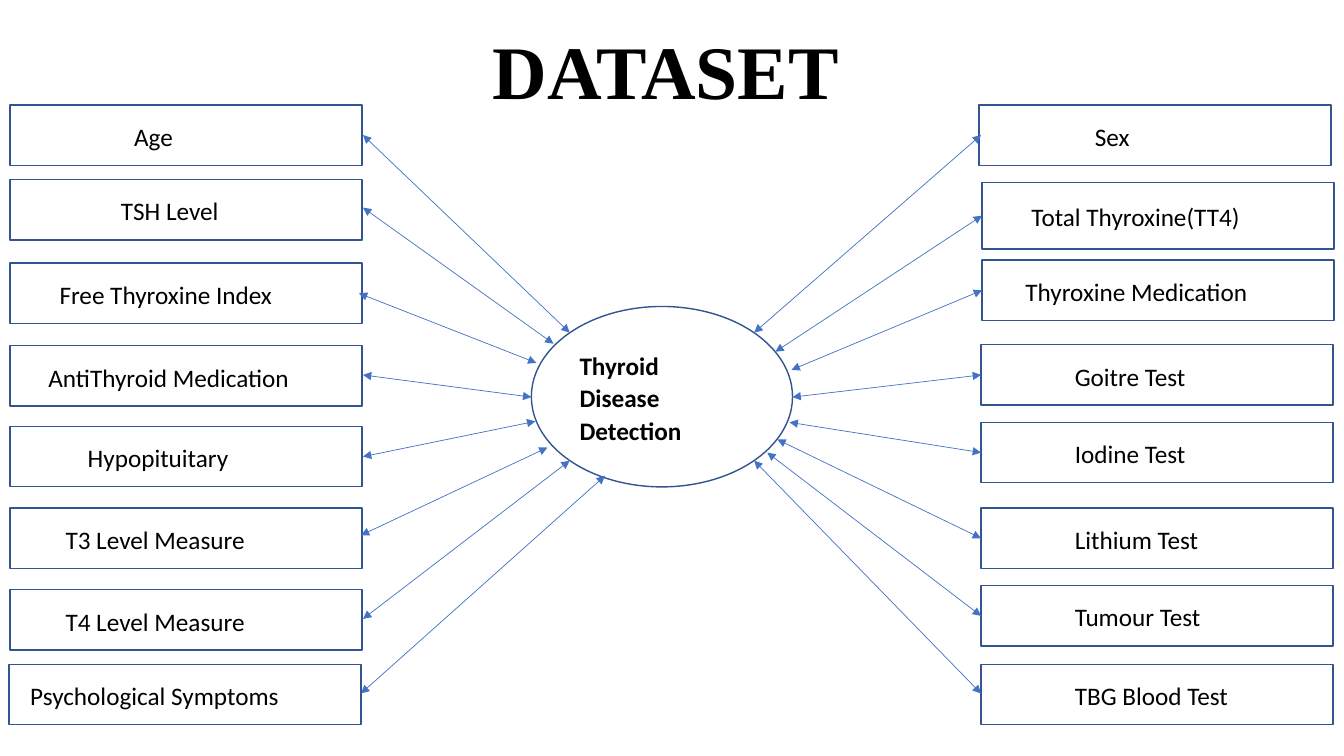
from dataclasses import dataclass

from lxml.etree import SubElement
from pptx import Presentation
from pptx.dml.color import RGBColor
from pptx.enum.shapes import MSO_CONNECTOR, MSO_SHAPE
from pptx.enum.text import MSO_ANCHOR
from pptx.oxml.ns import qn
from pptx.shapes.autoshape import Shape
from pptx.slide import Slide
from pptx.text.text import TextFrame
from pptx.util import Inches, Pt


@dataclass(frozen=True)
class Theme:
    paper: RGBColor = RGBColor(0xFF, 0xFF, 0xFF)
    ink: RGBColor = RGBColor(0, 0, 0)
    outline: RGBColor = RGBColor(0x32, 0x54, 0x91)
    arrow: RGBColor = RGBColor(0x44, 0x72, 0xC4)
    title_font: str = "Times New Roman"
    body_font: str = "Calibri"
    title_size: int = 54
    body_size: int = 18
    outline_width: float = 1
    arrow_width: float = 0.5


@dataclass(frozen=True)
class Feature:
    """A dataset column: its box, where its text starts, and its arrow ends."""
    label: str
    left: float
    top: float
    text_left: float
    box_end: tuple[float, float]
    hub_end: tuple[float, float]
    height: float = 0.6


THEME = Theme()
FEATURE_WIDTH = 3.49
DEFAULT_INSET = 0.1

FEATURES = [
    Feature("Age", 0.1, 1.04, 1.33, (3.6, 1.34), (5.65, 3.3)),
    Feature("TSH Level", 0.1, 1.78, 1.2, (3.6, 2.06), (5.49, 3.41)),
    Feature("Free Thyroxine Index", 0.1, 2.61, 0.59, (3.56, 2.91), (5.32, 3.6)),
    Feature("AntiThyroid Medication", 0.1, 3.43, 0.48, (3.6, 3.72), (5.27, 3.94)),
    Feature("Hypopituitary", 0.1, 4.23, 0.87, (3.6, 4.53), (5.31, 4.18)),
    Feature("T3 Level Measure", 0.1, 5.04, 0.65, (3.58, 5.31), (5.43, 4.44)),
    Feature("T4 Level Measure", 0.1, 5.85, 0.65, (3.6, 6.14), (5.65, 4.57)),
    Feature("Psychological Symptoms", 0.09, 6.59, 0.3, (3.58, 6.88), (6, 4.72)),
    Feature("Sex", 9.71, 1.04, 10.86, (9.73, 1.34), (7.48, 3.3)),
    Feature("Total Thyroxine(TT4)", 9.74, 1.81, 10.23, (9.74, 2.14), (7.69, 3.49), 0.66),
    Feature("Thyroxine Medication", 9.74, 2.58, 10.17, (9.74, 2.88), (7.85, 3.67)),
    Feature("Goitre Test", 9.73, 3.42, 10.66, (9.73, 3.72), (7.86, 3.94)),
    Feature("Iodine Test", 9.73, 4.19, 10.66, (9.73, 4.49), (7.83, 4.19)),
    Feature("Lithium Test", 9.73, 5.04, 10.66, (9.73, 5.34), (7.71, 4.36)),
    Feature("Tumour Test", 9.73, 5.81, 10.66, (9.73, 6.11), (7.61, 4.49)),
    Feature("TBG Blood Test", 9.73, 6.59, 10.66, (9.73, 6.88), (7.48, 4.57)),
]


def write(frame: TextFrame, text: str, font: str, size: int, bold: bool) -> None:
    frame.word_wrap = True
    run = frame.paragraphs[0].add_run()
    run.text = text
    run.font.name = font
    run.font.size = Pt(size)
    run.font.bold = bold
    run.font.color.rgb = THEME.ink


def add_title(slide: Slide, text: str) -> None:
    title = slide.shapes.add_textbox(Inches(4.79), Inches(0.19), Inches(4.67), Inches(1.01))
    write(title.text_frame, text, THEME.title_font, THEME.title_size, True)


def add_outlined(slide: Slide, kind: MSO_SHAPE, left: float, top: float, width: float,
                 height: float, text: str, bold: bool = False,
                 inset: float = DEFAULT_INSET) -> Shape:
    outlined = slide.shapes.add_shape(
        kind, Inches(left), Inches(top), Inches(width), Inches(height))
    outlined.shadow.inherit = False
    outlined.fill.solid()
    outlined.fill.fore_color.rgb = THEME.paper
    outlined.line.color.rgb = THEME.outline
    outlined.line.width = Pt(THEME.outline_width)

    frame = outlined.text_frame
    frame.vertical_anchor = MSO_ANCHOR.MIDDLE
    frame.margin_left = Inches(inset)
    write(frame, text, THEME.body_font, THEME.body_size, bold)
    paragraph = frame.paragraphs[0]
    paragraph.alignment = 1  # left
    paragraph.line_spacing = 1.07
    paragraph.space_after = Pt(8)
    return outlined


def add_double_arrow(slide: Slide, start: tuple[float, float], end: tuple[float, float]) -> None:
    arrow = slide.shapes.add_connector(
        MSO_CONNECTOR.STRAIGHT, *(Inches(value) for value in (*start, *end)))
    arrow.line.color.rgb = THEME.arrow
    arrow.line.width = Pt(THEME.arrow_width)
    stroke = arrow.line._get_or_add_ln()
    for tip in ("a:headEnd", "a:tailEnd"):
        SubElement(stroke, qn(tip), type="triangle")
    SubElement(arrow._element.spPr, qn("a:effectLst"))


def main() -> None:
    presentation = Presentation()
    presentation.slide_width = Inches(13.33)
    presentation.slide_height = Inches(7.5)
    slide = presentation.slides.add_slide(presentation.slide_layouts[6])

    add_title(slide, "DATASET")
    add_outlined(slide, MSO_SHAPE.OVAL, 5.27, 3.04, 2.59, 1.79,
                 "Thyroid Disease Detection", bold=True)
    for feature in FEATURES:
        add_outlined(slide, MSO_SHAPE.RECTANGLE, feature.left, feature.top, FEATURE_WIDTH,
                     feature.height, feature.label, inset=feature.text_left - feature.left)
    for feature in FEATURES:
        add_double_arrow(slide, feature.hub_end, feature.box_end)

    presentation.save("out.pptx")


if __name__ == "__main__":
    main()
